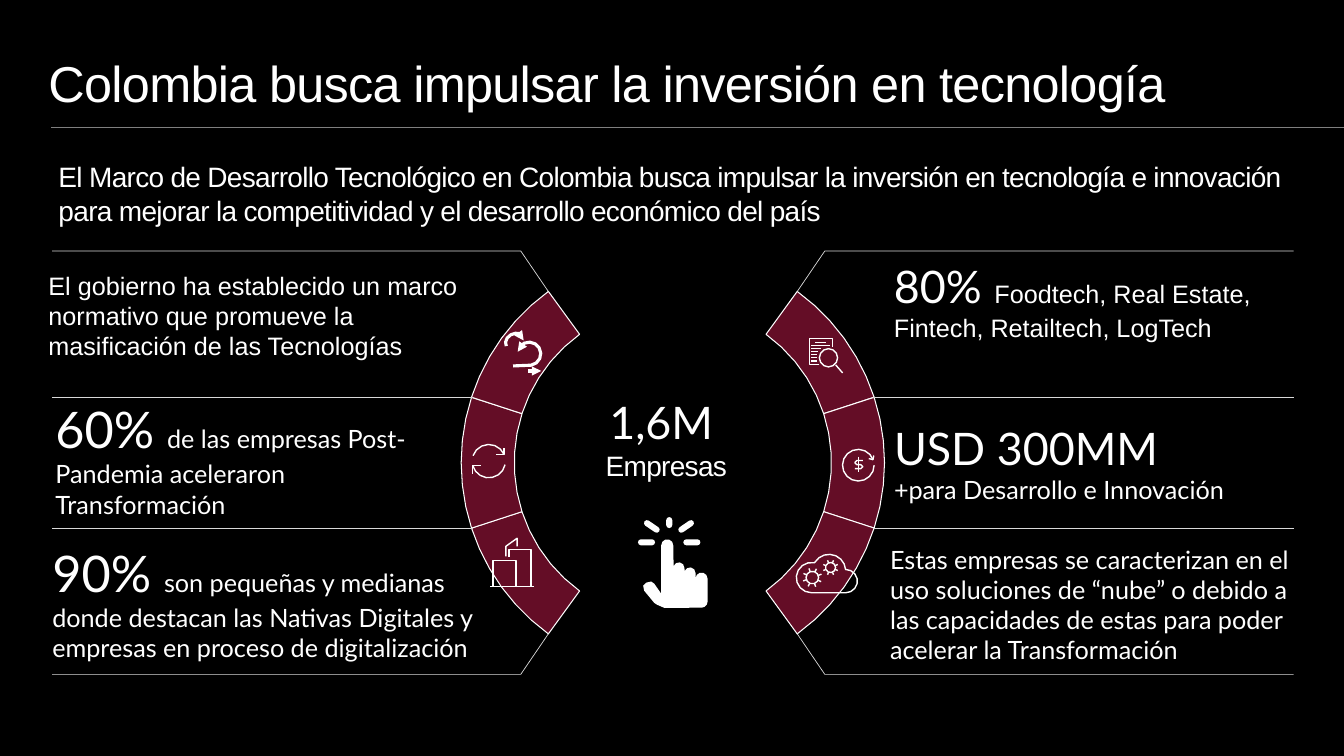
from math import acos, atan2, ceil, cos, degrees, radians, sin
from lxml.etree import SubElement
from pptx import Presentation
from pptx.dml.color import RGBColor
from pptx.enum.shapes import MSO_CONNECTOR as Connector, MSO_SHAPE as Shape
from pptx.enum.text import MSO_ANCHOR as Anchor, MSO_AUTO_SIZE as AutoSize, PP_ALIGN as Align
from pptx.oxml.ns import qn
from pptx.util import Pt

color = RGBColor.from_string
WHITE, WINE, PALE, GRAY = "FFFFFF", "640D26", "D9D9D9", "7F7F7F"
LATO, ARIAL = "Lato", "Arial"

deck = Presentation()
deck.slide_width, deck.slide_height = Pt(960), Pt(540)
slide = deck.slides.add_slide(deck.slide_layouts[5])
slide.background.fill.solid()
slide.background.fill.fore_color.rgb = color("000000")
shapes = slide.shapes


def arc(x, y, radius, start, end, steps=None):
    steps = steps or ceil(abs(end - start) / degrees(2 * acos(1 - 0.25 / radius)))
    angles = [radians(start + (end - start) * i / steps) for i in range(steps + 1)]
    return [(x + radius * cos(a), y + radius * sin(a)) for a in angles]


def outline(contours, closed=False, fill=None, line=WHITE, weight=1):
    builder = None
    for contour in contours:
        points = [(Pt(x), Pt(y)) for x, y in contour]
        if builder is None:
            builder = shapes.build_freeform(*points[0])
        else:
            builder.move_to(*points[0])
        builder.add_line_segments(points[1:], close=closed)
    drawing = builder.convert_to_shape()
    drawing.shadow.inherit = False
    if fill:
        drawing.fill.solid()
        drawing.fill.fore_color.rgb = color(fill)
    else:
        drawing.fill.background()
    if line:
        drawing.line.color.rgb = color(line)
        drawing.line.width = Pt(weight)
    else:
        drawing.line.fill.background()
    return drawing


heading = shapes.title
heading.left, heading.top, heading.width, heading.height = Pt(27.4), Pt(33.8), Pt(840), Pt(51.1)
heading_format = {"word_wrap": True, "auto_size": AutoSize.NONE, "vertical_anchor": Anchor.TOP}
for name, value in heading_format.items():
    setattr(heading.text_frame, name, value)

blocks = [
    (34.6, 191.5, 319.7, 67.7, 0, Align.LEFT, [[
        ("El gobierno ha establecido un marco normativo que promueve la masificación de las Tecnologías",
         18, ARIAL, 0)]]),
    (37.4, 386.6, 326.2, 87.1, 0, Align.LEFT, [[
        ("90% ", 36, LATO, 0),
        ("son pequeñas y medianas donde destacan las Nativas Digitales y empresas en proceso de digitalización",
         18, LATO, 0)]]),
    (638.6, 300.2, 301, 60.5, 0, Align.LEFT, [[
        ("USD 300MM", 32, LATO, 0), ("\n", 18, LATO, 0),
        ("+para Desarrollo e Innovación", 18, LATO, 0)]]),
    (635.8, 388.1, 285.8, 87.1, 0, Align.LEFT, [[
        ("Estas empresas se caracterizan en el uso soluciones de “nube” o debido a las "
         "capacidades de estas para poder acelerar la Transformación", 18, LATO, 0)]]),
    (638.6, 184.3, 285.8, 60.5, 0, Align.LEFT, [[
        ("80%", 32, LATO, 0), (" ", 32, ARIAL, 0),
        ("Foodtech, Real Estate, Fintech, Retailtech, LogTech", 18, ARIAL, 0)]]),
    (39.6, 283.7, 285.8, 87.8, 0, Align.LEFT, [[
        ("60% ", 36, LATO, 0),
        ("de las empresas Post-Pandemia aceleraron Transformación", 18, LATO, 0)]]),
    (41.8, 113.8, 881.3, 48.2, 0, Align.LEFT, [[
        ("El Marco de Desarrollo Tecnológico en Colombia busca impulsar la inversión en tecnología "
         "e innovación para mejorar la competitividad y el desarrollo económico del país",
         20, ARIAL, -50)]]),
    (370.1, 178.6, 211.7, 211.7, 57.6, Align.CENTER, [
        [("1,6M", 32, LATO, 0), (" ", 28, LATO, 0)], [("Empresas", 20, ARIAL, -50)]]),
]
messages = [(heading.text_frame, Align.LEFT, [[
    ("Colombia busca impulsar la inversión en tecnología", 36, ARIAL, -50)]])]
for left, top, width, height, inset, align, paragraphs in blocks:
    place = Pt(left), Pt(top), Pt(width), Pt(height)
    if align == Align.CENTER:
        block = shapes.add_shape(Shape.OVAL, *place)
        block.shadow.inherit = False
        block.fill.background()
        block.line.fill.background()
    else:
        block = shapes.add_textbox(*place)
    block_format = {"word_wrap": True, "vertical_anchor": Anchor.MIDDLE, "margin_left": 0,
                    "margin_top": Pt(inset), "margin_right": 0, "margin_bottom": 0}
    for name, value in block_format.items():
        setattr(block.text_frame, name, value)
    messages.append((block.text_frame, align, paragraphs))

for frame, align, paragraphs in messages:
    for index, pieces in enumerate(paragraphs):
        paragraph = frame.add_paragraph() if index else frame.paragraphs[0]
        paragraph.alignment = align
        for words, size, face, spacing in pieces:
            if words == "\n":
                paragraph.add_line_break()
                continue
            run = paragraph.add_run()
            run.text = words
            for name, value in {"size": Pt(size), "name": face, "bold": False}.items():
                setattr(run.font, name, value)
            run.font.color.rgb = color(WHITE)
            if spacing:
                run._r.get_or_add_rPr().set("spc", str(spacing))

ring_x, ring_y, outer, inner = 480.6, 330.5, 151.2, 113.3
for middle in (-36, 0, 36, 144, 180, 216):
    outline([arc(ring_x, ring_y, outer, middle - 18, middle + 18)
             + arc(ring_x, ring_y, inner, middle + 18, middle - 18)], True, WINE, WHITE, 0)

rules = [(36.7, 91.4, 960, 91.4, GRAY, 0.75), (377.3, 265, 386.6, 265, WHITE, 2.25)]
for side in (-1, 1):
    far = ring_x + side * 443.4
    for level in (-1, 1):
        edge = ring_y + level * outer
        outline([[(ring_x + side * 88.9, ring_y + level * 122.3),
                  (ring_x + side * 108.6, edge), (far, edge)]], line=PALE, weight=0.5)
        divider = ring_y + level * 46.8
        rules.append((far, divider, ring_x + side * 143, divider, PALE, 0.5))
strokes = []
for x1, y1, x2, y2, tint, weight in rules:
    stroke = shapes.add_connector(Connector.STRAIGHT, Pt(x1), Pt(y1), Pt(x2), Pt(y2))
    stroke.line.color.rgb = color(tint)
    stroke.line.width = Pt(weight)
    SubElement(stroke._element.spPr, qn("a:effectLst"))
    strokes.append(stroke)

swirl = outline([[(366.5, 261.4)] + arc(378, 252.7, 8.3, 80, -170)], weight=2.25)
hook = shapes.add_shape(Shape.ARC, Pt(362.2), Pt(236.9), Pt(10.8), Pt(13.7))
hook.adjustments[1] = 68.89
hook.rotation = 240
hook.shadow.inherit = False
hook.fill.background()
hook.line.color.rgb = color(WHITE)
hook.line.width = Pt(2.25)
for arrow in (swirl, hook, strokes[1]):
    SubElement(arrow.line._get_or_add_ln(), qn("a:tailEnd"), type="triangle")

outline([arc(349.2, 329.4, 11.9, 12, 165), arc(349.2, 329.4, 11.9, -23, -161),
         [(354.2, 324.7), (360, 324.7), (360, 319.7)],
         [(343.4, 332.6), (337.7, 332.6), (337.7, 338.4)]])

outline([[(381.6, 419), (349.9, 419)],
         [(368.6, 419), (368.6, 400.3), (352.1, 400.3), (352.1, 419)],
         [(379.4, 419), (379.4, 392.4), (363.6, 392.4), (363.6, 398.2)],
         [(369.4, 390.2), (369.4, 384.5), (361.4, 390.2), (361.4, 397.4)]])

text_rows = [(582.5, 589.7), (579.6, 592.6), (579.6, 586.8), (579.6, 584.6)] + [(579.6, 583.9)] * 3
outline([[(585.4, 260.6), (578.2, 260.6), (578.2, 241.9), (594.7, 241.9), (594.7, 247.7)],
         *[[(start, 244.8 + 2.16 * i), (end, 244.8 + 2.16 * i)]
           for i, (start, end) in enumerate(text_rows)],
         arc(591.8, 255.6, 6.5, 0, 360), [(596.9, 260.6), (601.9, 266.4)]])

outline([arc(613.1, 332.3, 11.3, 0, 340), [(620.6, 327.6), (623.5, 328.3), (624.2, 325.4)],
         [(616.3, 329), (612, 329), (610.6, 330.5), (612, 331.9), (614.9, 331.9),
          (616.3, 333.4), (614.9, 334.8), (610.6, 334.8)],
         [(613.4, 326.2), (613.4, 337)]])

outline([arc(579.6, 412.6, 10.8, 90, 281) + arc(592.2, 407.9, 11.9, 212, 355)
         + arc(604.1, 415.1, 8.3, 270, 450)], True)
for x, y, radius, turn in [(593.3, 405.4, 3.6, 22.5), (580.3, 412.6, 4.5, -20)]:
    teeth = zip(arc(x, y, radius, turn, turn + 315, 7), arc(x, y, radius * 1.55, turn, turn + 315, 7))
    outline([arc(x, y, radius, 0, 360), *teeth])

outline([arc(476.6, 389.5, 4.3, 180, 360) + arc(484.9, 405.7, 4, 200, 360)
         + arc(492.8, 409.3, 4, 200, 360) + arc(501.1, 413.3, 4.3, 180, 360)
         + arc(501.1, 429.8, 4.3, 0, 90)
         + [(474.5, 434.2), (469.4, 432), (467.3, 430.6), (460.1, 421.9), (459.4, 418.3),
            (461.5, 416.2), (465.1, 415.4), (467.3, 416.9), (472.3, 424.1)]], True, WHITE, None)
rays = [(478.1, 371.5, 478.1, 375.1), (457.9, 387.4, 465.8, 387.4), (490.3, 387.4, 498.2, 387.4),
        (493.6, 373.7, 486.7, 378.4), (462.2, 373.7, 469.1, 378.4)]
capsules = []
for x1, y1, x2, y2 in rays:
    slant = degrees(atan2(y2 - y1, x2 - x1))
    capsules.append(arc(x2, y2, 2.16, slant - 90, slant + 90)
                    + arc(x1, y1, 2.16, slant + 90, slant + 270))
outline(capsules, True, WHITE, None)

deck.save("out.pptx")
